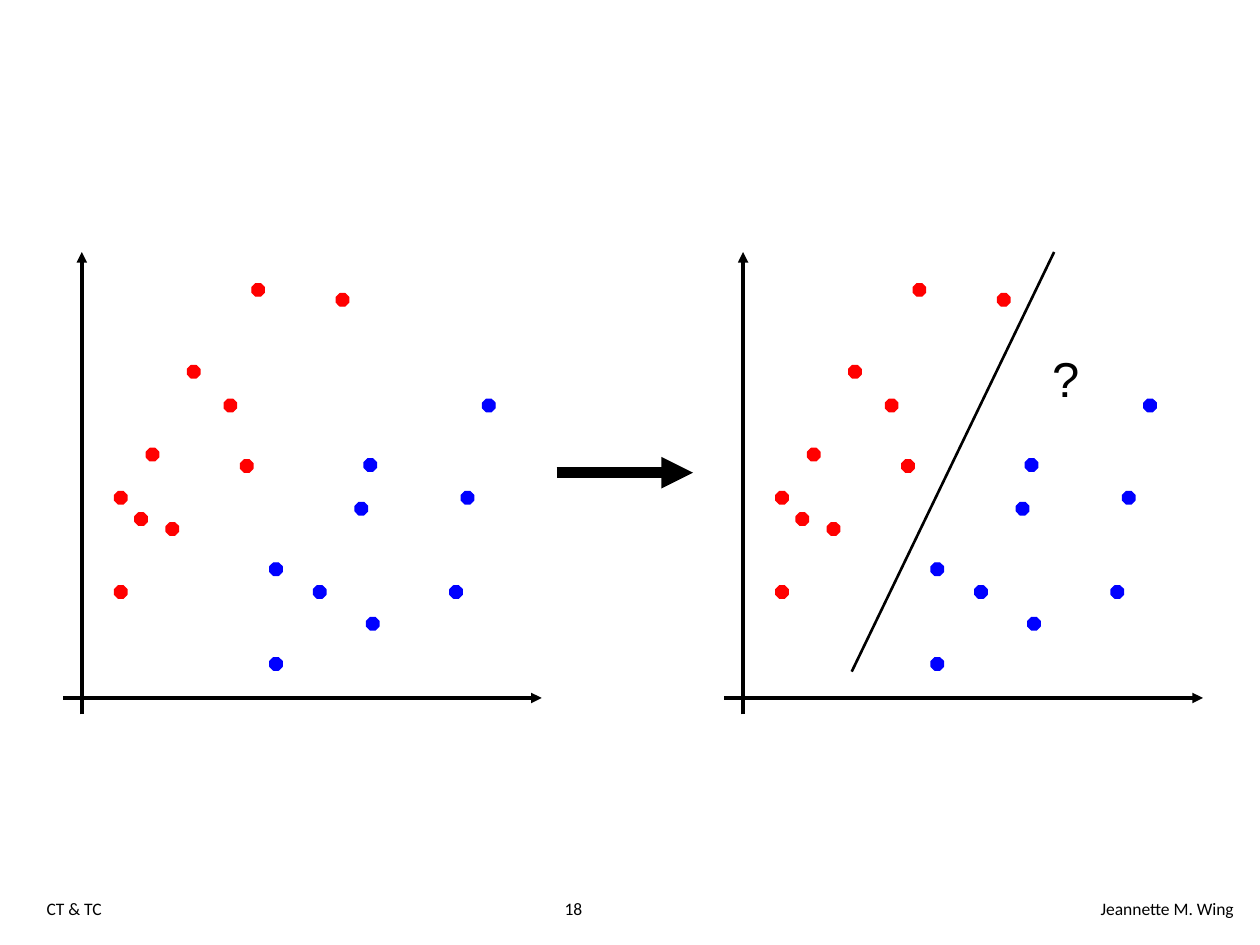
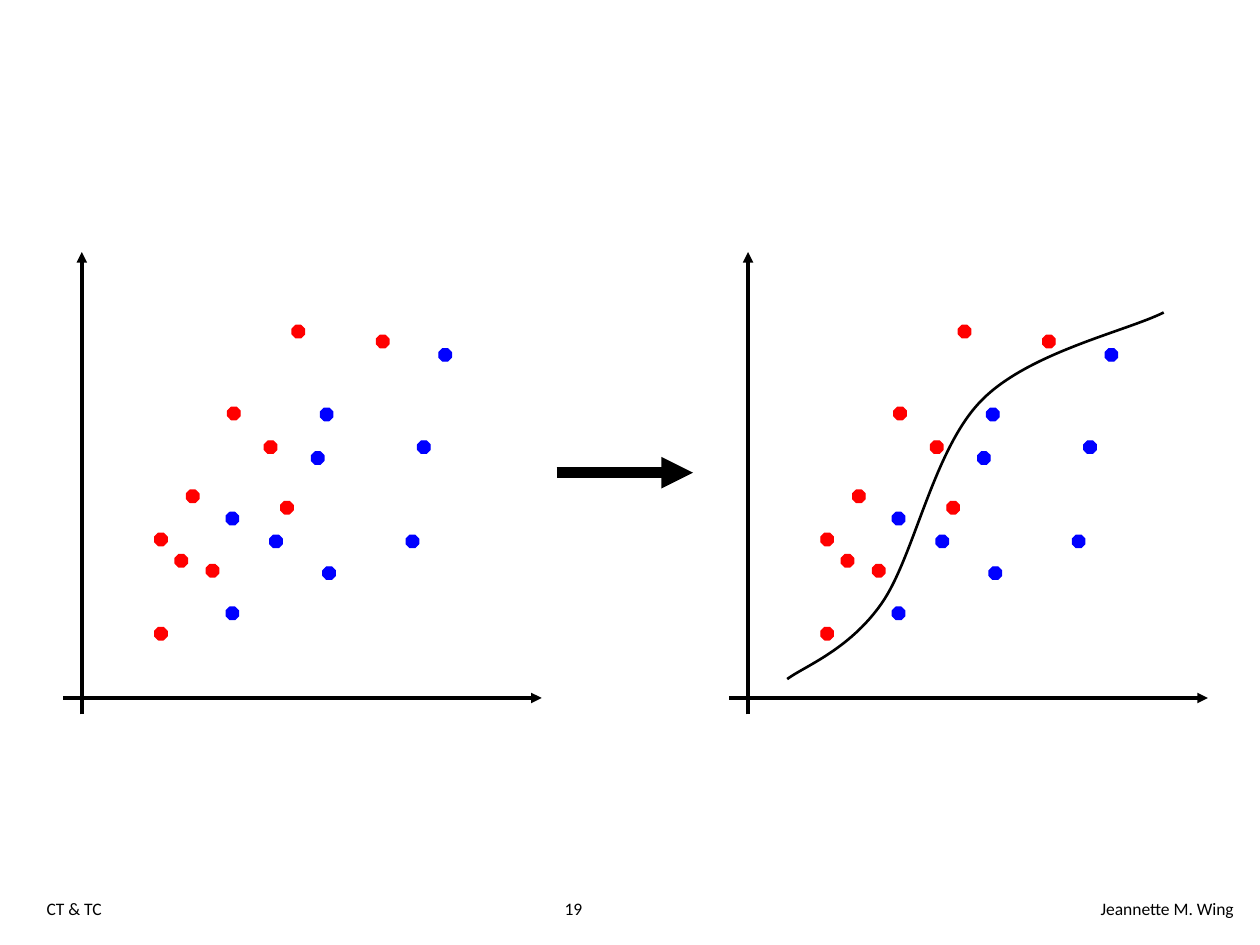
from lxml import etree
from pptx import Presentation
from pptx.dml.color import RGBColor
from pptx.enum.shapes import MSO_CONNECTOR, MSO_SHAPE
from pptx.enum.text import MSO_ANCHOR, MSO_AUTO_SIZE, PP_ALIGN
from pptx.oxml.ns import qn
from pptx.util import Cm, Pt

STRAIGHT = MSO_CONNECTOR.STRAIGHT
OCTAGON = MSO_SHAPE.OCTAGON
TOP = MSO_ANCHOR.TOP
FIT_SHAPE = MSO_AUTO_SIZE.SHAPE_TO_FIT_TEXT
NO_FIT = MSO_AUTO_SIZE.NONE
LEFT, CENTER, RIGHT = PP_ALIGN.LEFT, PP_ALIGN.CENTER, PP_ALIGN.RIGHT

COLORS = {"ink": "000000", "red": "FF0000", "blue": "0000FF"}
BODY_FONT, MARK_FONT = "Calibri", "Arial"

# All lengths are centimetres; points are relative to the box of a plot.
PLOT_TOP, PLOT_WIDTH, PLOT_HEIGHT = 5.08, 9.65, 9.32
LEFT_PLOT = 1.27
AXIS_X, AXIS_Y = 0.38, 8.99
DOT_SIZE = 0.25
BLANK_LAYOUT = 6

SAMPLES = {
    "red": [(3.25, 2.97), (1.68, 3.96), (2.08, 5.46), (1.04, 6.73), (2.51, 2.29),
            (1.04, 4.83), (1.45, 5.26), (3.58, 4.19), (3.81, 0.64), (5.51, 0.84)],
    "blue": [(6.07, 4.17), (5.05, 6.73), (7.8, 6.73), (4.17, 8.18), (5.89, 5.05),
             (4.17, 6.27), (6.12, 7.37), (8.03, 4.83), (8.46, 2.97)],
}
SEPARATE = {"red": (0, 0), "blue": (0, 0)}
MIXED = {"red": (0.81, 0.84), "blue": (-0.88, -1.02)}

# Start point, then two control points and an end point for each segment.
CURVE = [(1.17, 8.61),
         (1.5, 8.36), (2.41, 8.03), (3.07, 7.09),
         (3.73, 6.15), (4.11, 3.99), (5.08, 3.0),
         (6.02, 2.03), (8.0, 1.6), (8.76, 1.22)]


def rgb(name):
    return RGBColor.from_string(COLORS[name])


def add_line(shapes, start, end, width, arrow=False):
    line = shapes.add_connector(STRAIGHT, *(Cm(value) for value in (*start, *end)))
    line.line.color.rgb = rgb("ink")
    line.line.width = Pt(width)
    if arrow:
        tail = etree.SubElement(line.line._get_or_add_ln(), qn("a:tailEnd"))
        tail.set("type", "triangle")
    etree.SubElement(line._element.spPr, qn("a:effectLst"))


def add_text(shapes, box, text, font, size, alignment):
    text_box = shapes.add_textbox(*(Cm(value) for value in box))
    text_box.text_frame.vertical_anchor = TOP
    paragraph = text_box.text_frame.paragraphs[0]
    paragraph.alignment = alignment
    run = paragraph.add_run()
    run.text = text
    run.font.name = font
    run.font.size = Pt(size)
    run.font.color.rgb = rgb("ink")
    return text_box.text_frame


def add_footer(slide, number):
    parts = [(0.69, 5.28, "CT & TC", LEFT),
             (8.92, 5.28, str(number), CENTER),
             (17.55, 7.57, "Jeannette M. Wing", RIGHT)]
    for left, width, text, alignment in parts:
        frame = add_text(slide.shapes, (left, 17.98, width, 0.84),
                         text, BODY_FONT, 10, alignment)
        frame.word_wrap = True
        frame.auto_size = NO_FIT


def add_dot(shapes, x, y, color):
    dot = shapes.add_shape(OCTAGON, Cm(x), Cm(y), Cm(DOT_SIZE), Cm(DOT_SIZE))
    dot.shadow.inherit = False
    dot.fill.solid()
    dot.fill.fore_color.rgb = rgb(color)
    dot.line.color.rgb = rgb(color)
    dot.line.width = Pt(0.75)


def add_plot(slide, left, shifts):
    """Draw axes and dots, each colour moved by its shift; return the group's shapes."""
    shapes = slide.shapes.add_group_shape().shapes
    axis_x, axis_y = left + AXIS_X, PLOT_TOP + AXIS_Y
    add_line(shapes, (axis_x, PLOT_TOP + PLOT_HEIGHT), (axis_x, PLOT_TOP), 2, arrow=True)
    add_line(shapes, (left, axis_y), (left + PLOT_WIDTH, axis_y), 2, arrow=True)
    for color, points in SAMPLES.items():
        shift_x, shift_y = shifts[color]
        for x, y in points:
            add_dot(shapes, left + x + shift_x, PLOT_TOP + y + shift_y, color)
    return shapes


def add_straight_boundary(shapes, left):
    mark = add_text(shapes, (left + 6.35, PLOT_TOP + 1.83, 1.07, 1.45),
                    "?", MARK_FONT, 28, CENTER)
    mark.word_wrap = False
    mark.auto_size = FIT_SHAPE
    add_line(shapes, (left + 2.57, PLOT_TOP + 8.46), (left + 6.65, PLOT_TOP), 1.5)


def add_curved_boundary(shapes, left):
    """Outline the curve's points, then join every three into a Bézier segment."""
    points = [(Cm(left + x), Cm(PLOT_TOP + y)) for x, y in CURVE]
    builder = shapes.build_freeform(*points[0])
    builder.add_line_segments(points[1:], close=False)
    curve = builder.convert_to_shape()
    curve.shadow.inherit = False
    curve.fill.background()
    curve.line.color.rgb = rgb("ink")
    curve.line.width = Pt(1.5)
    outline = next(curve._element.iter(qn("a:path")))
    steps = outline.findall(qn("a:lnTo"))
    for first in range(0, len(steps), 3):
        segment = etree.SubElement(outline, qn("a:cubicBezTo"))
        for step in steps[first:first + 3]:
            segment.append(step[0])
            outline.remove(step)


def add_classification_slide(presentation, number, shifts, right_plot, add_boundary):
    slide = presentation.slides.add_slide(presentation.slide_layouts[BLANK_LAYOUT])
    add_footer(slide, number)
    add_plot(slide, LEFT_PLOT, shifts)
    add_line(slide.shapes, (11.22, 9.53), (13.97, 9.53), 6, arrow=True)
    add_boundary(add_plot(slide, right_plot, shifts), right_plot)


def main():
    presentation = Presentation()
    presentation.slide_width, presentation.slide_height = Cm(25.4), Cm(19.05)
    add_classification_slide(presentation, 18, SEPARATE, 14.6, add_straight_boundary)
    add_classification_slide(presentation, 19, MIXED, 14.7, add_curved_boundary)
    presentation.save("out.pptx")


if __name__ == "__main__":
    main()
